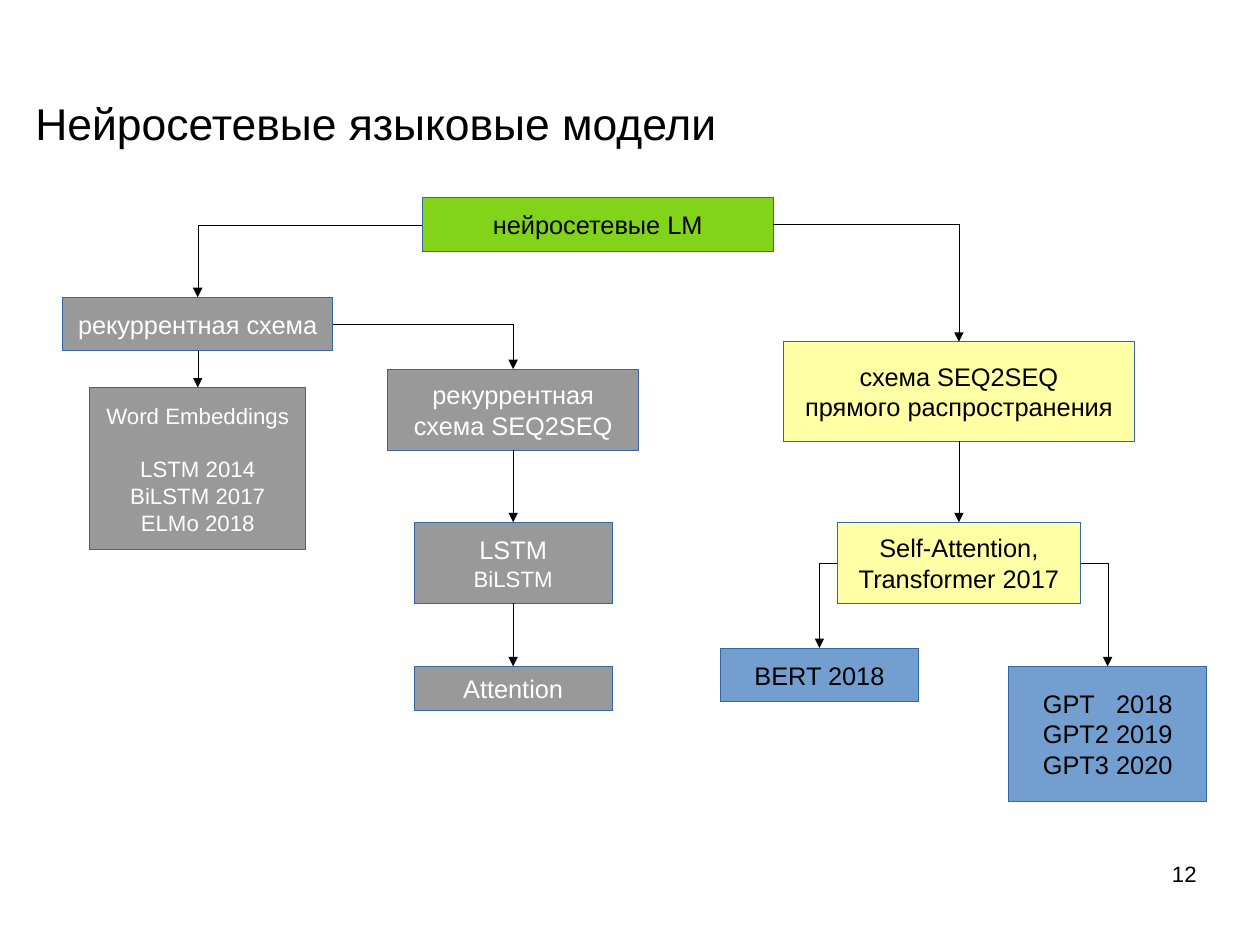
from dataclasses import dataclass

from lxml import etree
from pptx import Presentation
from pptx.dml.color import RGBColor
from pptx.enum.shapes import MSO_CONNECTOR, MSO_SHAPE
from pptx.enum.text import MSO_ANCHOR, PP_ALIGN
from pptx.oxml.ns import qn
from pptx.util import Inches, Pt

LEFT, CENTER, RIGHT = PP_ALIGN.LEFT, PP_ALIGN.CENTER, PP_ALIGN.RIGHT
TOP, MIDDLE = MSO_ANCHOR.TOP, MSO_ANCHOR.MIDDLE
RECTANGLE = MSO_SHAPE.RECTANGLE
STRAIGHT, ELBOW = MSO_CONNECTOR.STRAIGHT, MSO_CONNECTOR.ELBOW
TOP_SITE, LEFT_SITE, BOTTOM_SITE, RIGHT_SITE = range(4)
CM_PER_INCH = 2.54
SLIDE_WIDTH, SLIDE_HEIGHT = Inches(28 / CM_PER_INCH), Inches(21 / CM_PER_INCH)


@dataclass(frozen=True)
class Theme:
    font: str = "Arial"
    black: str = "000000"
    white: str = "FFFFFF"
    green: str = "81D41A"
    gray: str = "999999"
    yellow: str = "FFFFA6"
    blue: str = "729FCF"
    outline: str = "3465A4"
    title: int = 28
    body: int = 16
    small: int = 14


THEME = Theme()


@dataclass(frozen=True)
class Node:
    key: str
    center: float
    top: float
    width: float
    height: float
    fill: str
    lines: tuple[str, ...]
    color: str = THEME.black
    sizes: tuple[int, ...] = ()


@dataclass(frozen=True)
class Link:
    source: str
    target: str
    site: int = BOTTOM_SITE


RNN_X, SEQ_X, FORWARD_X = 1.73, 4.49, 8.39

NODES = (
    Node("lm", 5.23, 1.73, 3.07, 0.47, THEME.green, ("нейросетевые LM",)),
    Node("rnn", RNN_X, 2.6, 2.36, 0.47, THEME.gray, ("рекуррентная схема",), THEME.white),
    Node("embeddings", RNN_X, 3.39, 1.89, 1.42, THEME.gray,
         ("Word Embeddings", "LSTM 2014", "BiLSTM 2017", "ELMo 2018"),
         THEME.white, (THEME.small,) * 4),
    Node("rnn_seq", SEQ_X, 3.23, 2.2, 0.71, THEME.gray,
         ("рекуррентная", "схема SEQ2SEQ"), THEME.white),
    Node("lstm", SEQ_X, 4.57, 1.73, 0.71, THEME.gray, ("LSTM", "BiLSTM"),
         THEME.white, (THEME.body, THEME.small)),
    Node("attention", SEQ_X, 5.83, 1.73, 0.39, THEME.gray, ("Attention",), THEME.white),
    Node("forward", FORWARD_X, 2.99, 3.07, 0.87, THEME.yellow,
         ("схема SEQ2SEQ", "прямого распространения")),
    Node("transformer", FORWARD_X, 4.57, 2.13, 0.71, THEME.yellow,
         ("Self-Attention,", "Transformer 2017")),
    Node("bert", 7.17, 5.67, 1.73, 0.47, THEME.blue, ("BERT 2018",)),
    Node("gpt", 9.69, 5.83, 1.73, 1.18, THEME.blue,
         ("GPT\t2018", "GPT2\t2019", "GPT3\t2020")),
)

LINKS = (
    Link("lm", "rnn", LEFT_SITE),
    Link("lm", "forward", RIGHT_SITE),
    Link("rnn", "embeddings"),
    Link("rnn", "rnn_seq", RIGHT_SITE),
    Link("rnn_seq", "lstm"),
    Link("lstm", "attention"),
    Link("forward", "transformer"),
    Link("transformer", "bert", LEFT_SITE),
    Link("transformer", "gpt", RIGHT_SITE),
)


def rgb(color: str) -> RGBColor:
    return RGBColor.from_string(color)


def style_paragraph(p, size: int, color: str, align) -> None:
    p.alignment = align
    for r in p.runs:
        r.font.name = THEME.font
        r.font.size = Pt(size)
        r.font.color.rgb = rgb(color)


def add_tab_stop(p, position: float) -> None:
    tabs = etree.SubElement(p._p.get_or_add_pPr(), qn("a:tabLst"))
    etree.SubElement(tabs, qn("a:tab"), pos=str(Inches(position)), algn="l")


def set_hairline(shape, color: str):
    """Write the zero width as XML, since the width property drops it."""
    shape.line.color.rgb = rgb(color)
    ln = shape._element.spPr.find(qn("a:ln"))
    ln.set("w", "0")
    return ln


def add_label(s, text: str, left: float, top: float, width: float, height: float,
              size: int, align, anchor) -> None:
    tf = s.shapes.add_textbox(Inches(left), Inches(top), Inches(width), Inches(height)).text_frame
    tf.margin_left = tf.margin_right = tf.margin_top = tf.margin_bottom = 0
    tf.word_wrap = True
    tf.vertical_anchor = anchor
    tf.text = text
    style_paragraph(tf.paragraphs[0], size, THEME.black, align)


def add_node(s, node: Node):
    sp = s.shapes.add_shape(RECTANGLE, Inches(node.center - node.width / 2), Inches(node.top),
                            Inches(node.width), Inches(node.height))
    sp.shadow.inherit = False
    sp.fill.solid()
    sp.fill.fore_color.rgb = rgb(node.fill)
    set_hairline(sp, THEME.outline)
    tf = sp.text_frame
    tf.word_wrap = False
    tf.vertical_anchor = MIDDLE
    tf.text = "\n".join(node.lines)
    sizes = node.sizes or (THEME.body,) * len(node.lines)
    for p, size in zip(tf.paragraphs, sizes):
        style_paragraph(p, size, node.color, CENTER)
    return sp


def align_years(sp) -> None:
    """Set names and years in two left-aligned columns."""
    tf = sp.text_frame
    tf.word_wrap = True
    tf.margin_left = Inches(0.3)
    for p in tf.paragraphs:
        p.alignment = LEFT
        add_tab_stop(p, 0.64)


def add_link(s, source, target, site: int) -> None:
    kind = STRAIGHT if site == BOTTOM_SITE else ELBOW
    line = s.shapes.add_connector(kind, 0, 0, 0, 0)
    line.begin_connect(source, site)
    line.end_connect(target, TOP_SITE)
    ln = set_hairline(line, THEME.black)
    etree.SubElement(ln, qn("a:tailEnd"), type="triangle")
    props = line._element.spPr
    if kind == ELBOW:
        props.find(qn("a:prstGeom")).set("prst", "bentConnector2")
    etree.SubElement(props, qn("a:effectLst"))


def main() -> None:
    prs = Presentation()
    prs.slide_width, prs.slide_height = SLIDE_WIDTH, SLIDE_HEIGHT
    s = prs.slides.add_slide(prs.slide_layouts[6])
    add_label(s, "Нейросетевые языковые модели", 0.31, 0.81, 7.95, 0.53,
              THEME.title, LEFT, MIDDLE)
    boxes = {node.key: add_node(s, node) for node in NODES}
    boxes["embeddings"].text_frame.paragraphs[1].space_before = Pt(17)
    align_years(boxes["gpt"])
    for link in LINKS:
        add_link(s, boxes[link.source], boxes[link.target], link.site)
    add_label(s, "12", 7.9, 7.53, 2.57, 0.57, THEME.small, RIGHT, TOP)
    prs.save("out.pptx")


if __name__ == "__main__":
    main()
